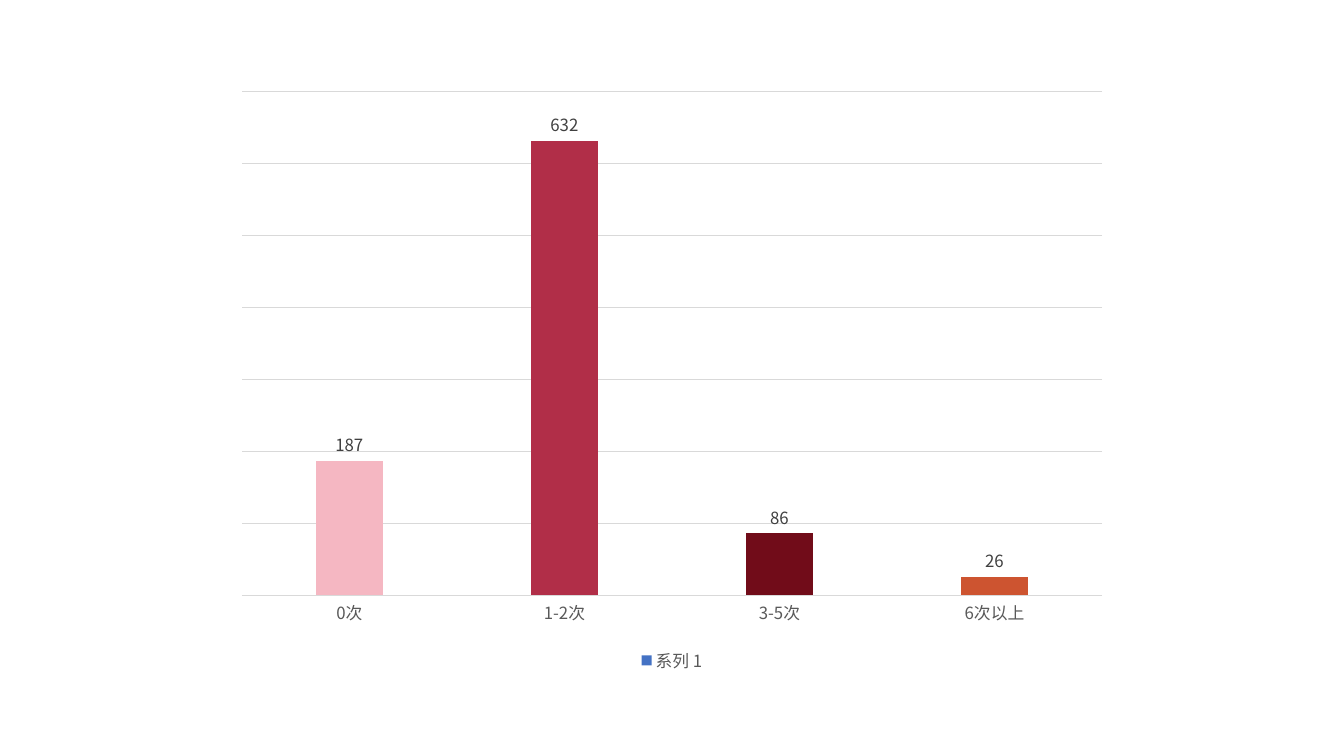
from lxml.etree import SubElement
from pptx import Presentation
from pptx.chart.data import CategoryChartData
from pptx.dml.color import RGBColor
from pptx.enum.chart import XL_CHART_TYPE, XL_LABEL_POSITION, XL_LEGEND_POSITION, XL_TICK_MARK
from pptx.oxml.ns import qn
from pptx.util import Emu, Pt

SLIDE_WIDTH, SLIDE_HEIGHT = 1344, 756
EMU_PER_PX = 12192000 / SLIDE_WIDTH
FONT = "Noto Sans CJK SC"
GRAY_LINE, GRAY_TEXT, LABEL_TEXT = "D9D9D9", "595959", "404040"
SERIES_NAME, SERIES_COLOR = "系列 1", "4472C4"
VISITS = [
    ("0次", 187, "F5B7C2"),
    ("1-2次", 632, "B12E48"),
    ("3-5次", 86, "710C19"),
    ("6次以上", 26, "CD5430"),
]


def px(length):
    return Emu(round(length * EMU_PER_PX))


def set_attributes(target, values):
    for name, value in values.items():
        setattr(target, name, value)


def set_color(color_format, color):
    color_format.rgb = RGBColor.from_string(color)


def set_fill(format_, color):
    format_.fill.solid()
    set_color(format_.fill.fore_color, color)


def set_line(format_, color):
    format_.line.width = Pt(0.75)
    set_color(format_.line.color, color)


def set_font(font, size, color):
    """Style a chart font, for Latin and East Asian letters alike."""
    set_attributes(font, {"name": FONT, "size": Pt(size), "bold": False})
    set_color(font.color, color)
    latin = font._element.find(qn("a:latin"))
    east_asian = SubElement(font._element, qn("a:ea"), typeface=FONT)
    latin.addnext(east_asian)


def add_column_chart(page, left, top, width, height):
    data = CategoryChartData()
    data.categories = [category for category, _, _ in VISITS]
    data.add_series(SERIES_NAME, [count for _, count, _ in VISITS])
    frame = page.shapes.add_chart(
        XL_CHART_TYPE.COLUMN_CLUSTERED, px(left), px(top), px(width), px(height), data)
    chart = frame.chart
    set_attributes(chart, {"has_title": False, "has_legend": True})
    set_font(chart.font, 10, "000000")
    return chart


def style_axes(chart):
    set_attributes(chart.category_axis, {
        "major_tick_mark": XL_TICK_MARK.NONE,
        "minor_tick_mark": XL_TICK_MARK.NONE,
    })
    set_font(chart.category_axis.tick_labels.font, 12, GRAY_TEXT)
    set_line(chart.category_axis.format, GRAY_LINE)
    set_attributes(chart.value_axis, {
        "visible": False,
        "has_major_gridlines": True,
        "minimum_scale": 0,
        "maximum_scale": 700,
        "major_unit": 100,
    })
    set_line(chart.value_axis.major_gridlines.format, GRAY_LINE)


def style_columns(chart):
    plot = chart.plots[0]
    set_attributes(plot, {
        "gap_width": 219,
        "overlap": -27,
        "vary_by_categories": False,
    })
    series = plot.series[0]
    set_fill(series.format, SERIES_COLOR)
    for index, (_, _, color) in enumerate(VISITS):
        set_fill(series.points[index].format, color)
    labels = series.data_labels
    set_attributes(labels, {
        "show_value": True,
        "position": XL_LABEL_POSITION.OUTSIDE_END,
    })
    set_font(labels.font, 12, LABEL_TEXT)


def style_legend(chart):
    set_attributes(chart.legend, {
        "position": XL_LEGEND_POSITION.BOTTOM,
        "include_in_layout": False,
    })
    set_font(chart.legend.font, 12, GRAY_TEXT)


def main():
    deck = Presentation()
    set_attributes(deck, {"slide_width": px(SLIDE_WIDTH), "slide_height": px(SLIDE_HEIGHT)})
    page = deck.slides.add_slide(deck.slide_layouts[6])
    chart = add_column_chart(page, 224, 80, 896, 597)
    style_axes(chart)
    style_columns(chart)
    style_legend(chart)
    deck.save("out.pptx")


if __name__ == "__main__":
    main()
